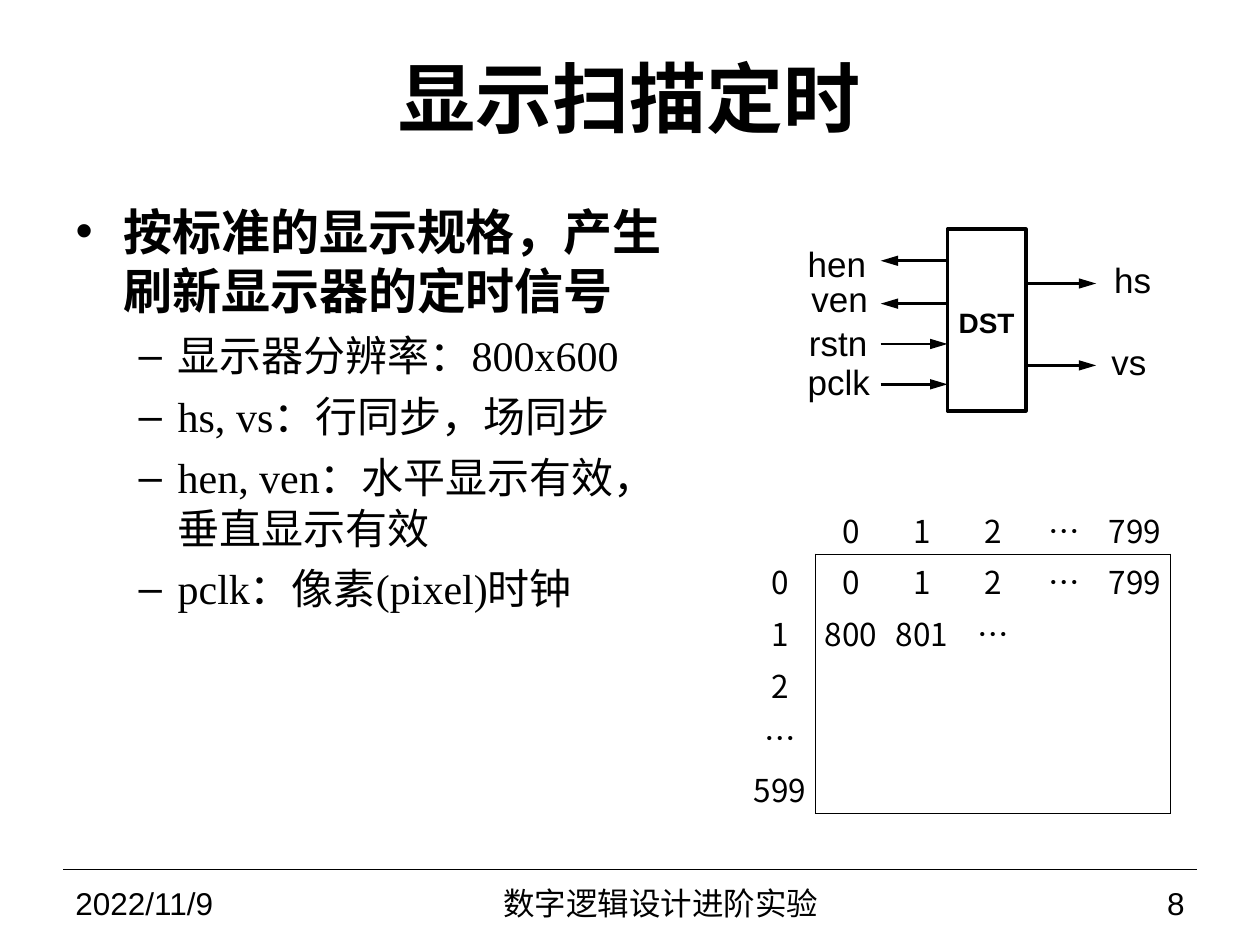
from pptx import Presentation
from pptx.dml.color import RGBColor
from pptx.enum.shapes import MSO_CONNECTOR, MSO_SHAPE
from pptx.enum.text import MSO_ANCHOR, MSO_AUTO_SIZE, PP_ALIGN
from pptx.oxml.ns import qn
from pptx.util import Inches, Pt
from lxml.etree import SubElement

BLACK = RGBColor(0, 0, 0)
WHITE = RGBColor(255, 255, 255)
SERIF, SANS, CJK = "Times New Roman", "Arial", "Noto Sans CJK SC"


def style(p, size, font, bold=False, align=None):
    p.alignment = align
    for r in p.runs:
        r.font.size, r.font.name, r.font.bold = Pt(size), font, bold
        r.font.color.rgb = BLACK


def add_line(shapes, x1, y1, x2, y2, width, arrow=False):
    line = shapes.add_connector(MSO_CONNECTOR.STRAIGHT, Inches(x1), Inches(y1),
                                Inches(x2), Inches(y2))
    line.line.color.rgb = BLACK
    line.line.width = Pt(width)
    if arrow:
        SubElement(line.line._get_or_add_ln(), qn("a:tailEnd"),
                   type="triangle", w="med", len="lg")
    SubElement(line._element.spPr, qn("a:effectLst"))


def add_text(shapes, box, text, size, align, bold=False, wrap=False, inset=None):
    tf = shapes.add_textbox(*map(Inches, box)).text_frame
    tf.word_wrap = wrap
    tf.vertical_anchor = MSO_ANCHOR.MIDDLE
    if inset is not None:
        tf.margin_left = tf.margin_right = Inches(inset)
        tf.margin_top = tf.margin_bottom = Inches(inset)
    tf.text = text
    style(tf.paragraphs[0], size, SANS, bold, align)


def place(sp, box):
    sp.left, sp.top, sp.width, sp.height = map(Inches, box)
    sp.text_frame.auto_size = MSO_AUTO_SIZE.NONE
    return sp.text_frame


def add_title(s, box, text):
    tf = place(s.shapes.title, box)
    tf.vertical_anchor = MSO_ANCHOR.MIDDLE
    tf.text = text
    style(tf.paragraphs[0], 44, SERIF, True, PP_ALIGN.CENTER)


def add_body(s, box, items):
    tf = place(s.placeholders[1], box)
    formats = [("•", 0.38, -0.38, 28, True), ("–", 0.81, -0.31, 24, False)]
    for i, (level, text) in enumerate(items):
        p = tf.paragraphs[0] if i == 0 else tf.add_paragraph()
        bullet, left, indent, size, bold = formats[level]
        p.text = text
        p.level = level
        p.space_before, p.space_after = Pt(0), Pt(6)
        pPr = p._p.get_or_add_pPr()
        pPr.set("marL", str(Inches(left)))
        pPr.set("indent", str(Inches(indent)))
        SubElement(pPr, qn("a:buChar"), char=bullet)
        style(p, size, SERIF, bold, PP_ALIGN.LEFT)


def add_block_diagram(s, box):
    x, y, w, h = box
    shapes = s.shapes.add_group_shape().shapes
    block = shapes.add_shape(MSO_SHAPE.RECTANGLE, *map(Inches, box))
    block.shadow.inherit = False
    block.fill.background()
    block.line.color.rgb = BLACK
    block.line.width = Pt(2.25)
    add_text(shapes, (x, y + 0.55, w, 0.37), "DST", 16, PP_ALIGN.CENTER, True,
             inset=0)

    # Signals on the left: name, arrow height, label position, is output
    far = x - 0.53
    for name, dy, label_x, label_y, output in [
            ("hen", 0.25, 6.41, 1.92, True), ("ven", 0.59, 6.44, 2.2, True),
            ("rstn", 0.91, 6.42, 2.55, False), ("pclk", 1.23, 6.41, 2.86, False)]:
        start, end = (x, far) if output else (far, x)
        add_line(shapes, start, y + dy, end, y + dy, 1.5, arrow=True)
        add_text(shapes, (label_x, label_y, 0.56, 0.34), name, 20,
                 PP_ALIGN.LEFT, inset=0)

    # Sync outputs on the right
    for name, dy, label_x in [("hs", 0.43, 8.79), ("vs", 1.08, 8.76)]:
        add_line(shapes, x + w, y + dy, x + w + 0.56, y + dy, 1.5, arrow=True)
        add_text(shapes, (label_x, y + dy - 0.2, 0.4, 0.34), name, 20,
                 PP_ALIGN.CENTER, inset=0)


def set_borders(cell, sides):
    tcPr = cell._tc.get_or_add_tcPr()
    for i, side in enumerate("LRTB"):
        ln = tcPr.makeelement(qn(f"a:ln{side}"), {"w": str(Pt(1))})
        if side in sides:
            fill = SubElement(ln, qn("a:solidFill"))
            SubElement(fill, qn("a:srgbClr"), val=str(BLACK))
        else:
            SubElement(ln, qn("a:noFill"))
        tcPr.insert(i, ln)


def add_pixel_table(s, box, rows):
    n, m = len(rows), len(rows[0])
    table = s.shapes.add_table(n, m, *map(Inches, box)).table
    table.first_row = table.horz_banding = False
    table.rows[0].height = Inches(0.4)
    for i, row in enumerate(rows):
        for j, text in enumerate(row):
            cell = table.cell(i, j)
            cell.margin_left = cell.margin_right = cell.margin_top = Inches(0.01)
            cell.margin_bottom = 0
            cell.vertical_anchor = MSO_ANCHOR.MIDDLE
            cell.text = text
            style(cell.text_frame.paragraphs[0], 18, CJK, align=PP_ALIGN.CENTER)
            inside = i > 0 and j > 0
            if inside:
                cell.fill.solid()
                cell.fill.fore_color.rgb = WHITE
            else:
                cell.fill.background()
            # One frame around the pixel area, below and beside the indices
            edges = {"L": inside and j == 1,
                     "R": i > 0 and j in (0, m - 1),
                     "T": inside and i == 1,
                     "B": j > 0 and i in (0, n - 1)}
            set_borders(cell, [side for side, on in edges.items() if on])


def add_footer(s, box, date, title, number):
    x, y, w, h = box
    add_line(s.shapes, x, y - 0.08, x + w, y - 0.08, 0.75)
    for dx, width, text, align in [(0, 2.33, date, PP_ALIGN.LEFT),
                                   (2.33, 4.83, title, PP_ALIGN.CENTER),
                                   (7.25, 1.75, number, PP_ALIGN.RIGHT)]:
        add_text(s.shapes, (x + dx, y, width, h), text, 18, align, wrap=True)


def main():
    prs = Presentation()
    prs.slide_width, prs.slide_height = Inches(10), Inches(7.5)
    s = prs.slides.add_slide(prs.slide_layouts[1])
    add_title(s, (0.5, 0.3, 9, 0.93), "显示扫描定时")
    add_body(s, (0.5, 1.55, 4.97, 5.35), [
        (0, "按标准的显示规格，产生刷新显示器的定时信号"),
        (1, "显示器分辨率：800x600"),
        (1, "hs, vs：行同步，场同步"),
        (1, "hen, ven：水平显示有效，垂直显示有效"),
        (1, "pclk：像素(pixel)时钟")])
    add_block_diagram(s, (7.52, 1.82, 0.62, 1.44))
    add_pixel_table(s, (5.91, 4, 3.38, 2.47), [
        ["", "0", "1", "2", "…", "799"],
        ["0", "0", "1", "2", "…", "799"],
        ["1", "800", "801", "…", "", ""],
        ["2", "", "", "", "", ""],
        ["…", "", "", "", "", ""],
        ["599", "", "", "", "", ""]])
    add_footer(s, (0.5, 6.98, 9, 0.37), "2022/11/9", "数字逻辑设计进阶实验", "8")
    prs.save("out.pptx")


if __name__ == "__main__":
    main()
